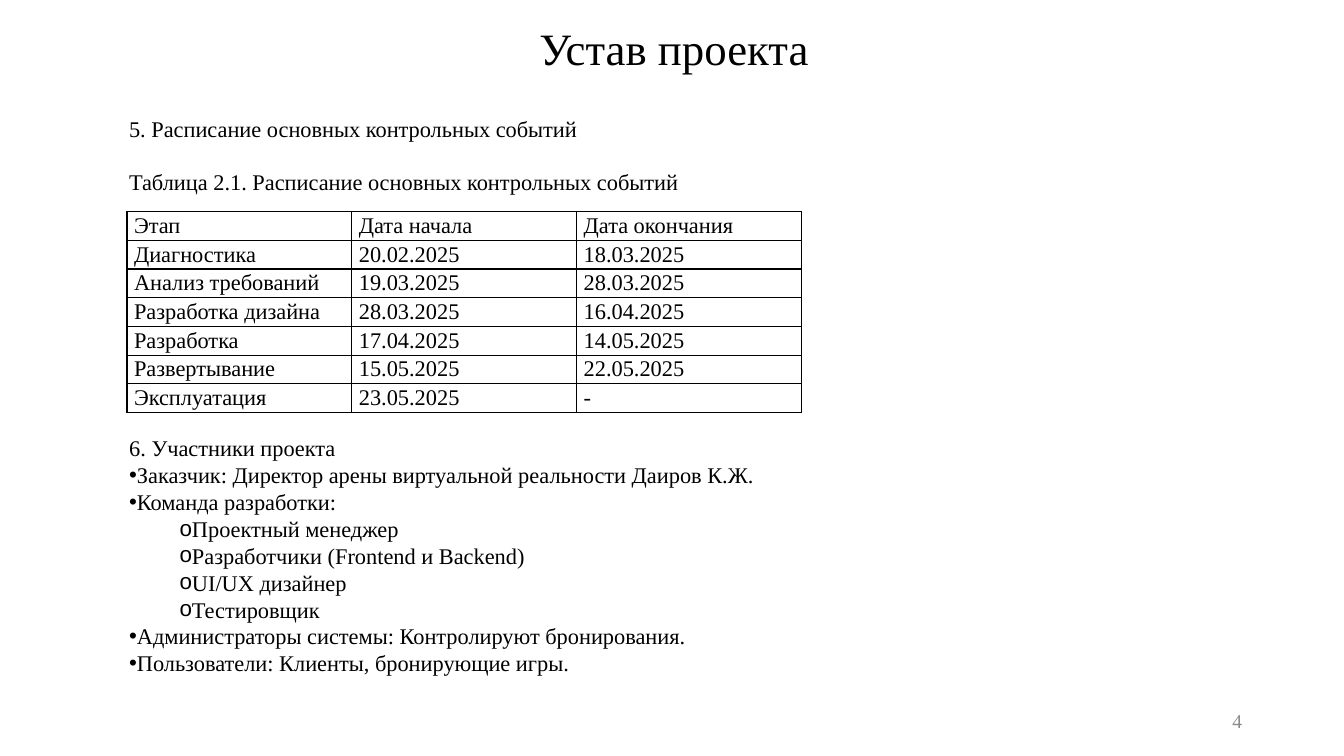
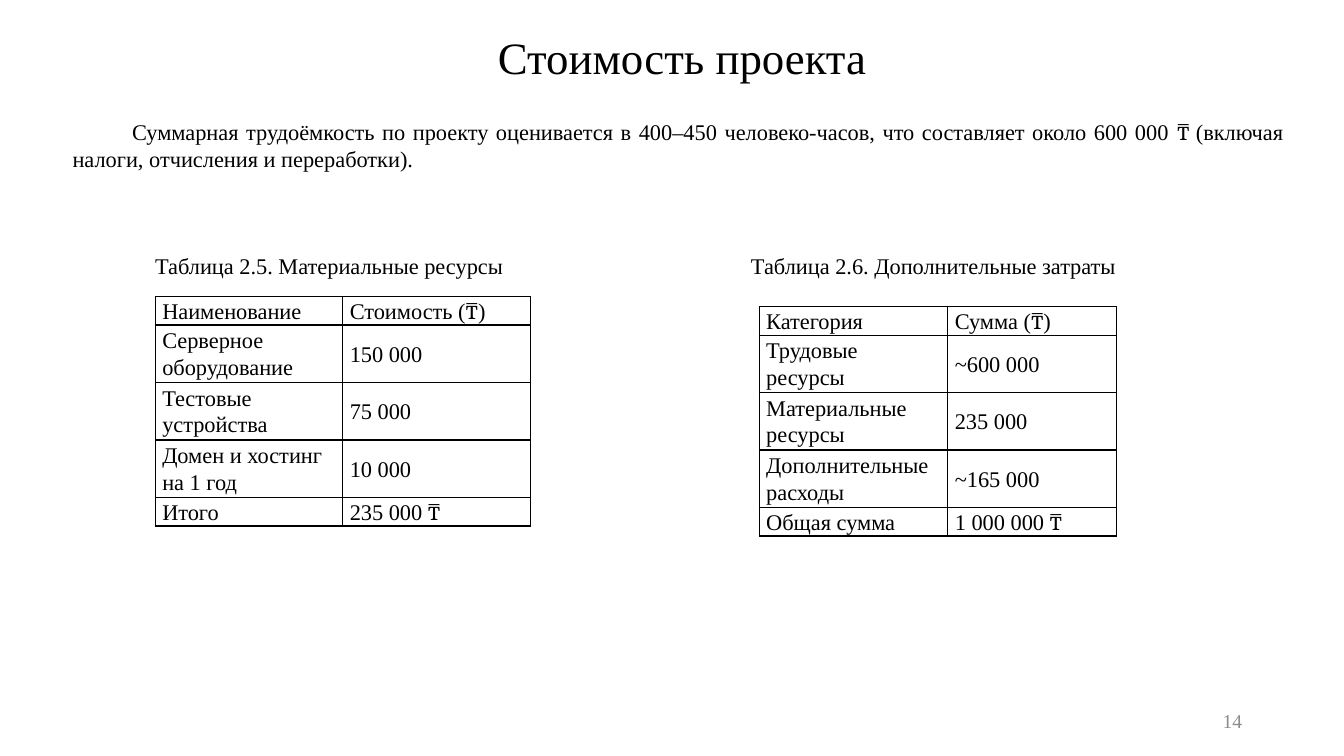
from lxml import etree
from pptx import Presentation
from pptx.dml.color import RGBColor
from pptx.enum.text import MSO_ANCHOR, MSO_AUTO_SIZE, PP_ALIGN
from pptx.oxml.ns import qn
from pptx.util import Inches, Pt

LEFT, CENTER, RIGHT, JUSTIFY = (
    PP_ALIGN.LEFT, PP_ALIGN.CENTER, PP_ALIGN.RIGHT, PP_ALIGN.JUSTIFY)
TOP, MIDDLE = MSO_ANCHOR.TOP, MSO_ANCHOR.MIDDLE
NO_AUTOFIT = MSO_AUTO_SIZE.NONE

FONT = "Times New Roman"
BLACK, GRAY = "000000", "8C8C8C"
GRID = 100  # columns across and rows down the slide
INDENT = 4.43
LINE_ROWS = 3.8  # height of one line of text in a table


def color(hex_text):
    return RGBColor.from_string(hex_text)


def write(p, text, size=16, fill=BLACK, align=JUSTIFY, margin=0, indent=0,
          level=0, bullet=None, before=0, spacing=1.0):
    """Fill a paragraph; margin and indent are lengths in EMU."""
    pPr = p._p.get_or_add_pPr()
    pPr.set("marL", str(int(margin)))
    pPr.set("indent", str(int(indent)))
    if bullet:
        etree.SubElement(pPr, qn("a:buFont"), typeface="Arial")
        etree.SubElement(pPr, qn("a:buChar"), char=bullet)
    else:
        etree.SubElement(pPr, qn("a:buNone"))
    p.level = level
    p.alignment = align
    p.line_spacing = spacing
    p.space_before = Pt(before)
    r = p.add_run()
    r.text = text
    r.font.name, r.font.size = FONT, Pt(size)
    r.font.color.rgb = color(fill)


def set_borders(cell, line_color=BLACK, width=1):
    tcPr = cell._tc.get_or_add_tcPr()
    for i, side in enumerate(("lnL", "lnR", "lnT", "lnB")):
        ln = etree.Element(qn(f"a:{side}"), w=str(Pt(width)))
        fill = etree.SubElement(ln, qn("a:solidFill"))
        etree.SubElement(fill, qn("a:srgbClr"), val=line_color)
        tcPr.insert(i, ln)


class Deck:
    def __init__(self):
        self.prs = Presentation()
        self.prs.slide_width = Inches(13.33)
        self.prs.slide_height = Inches(7.5)
        self.s = None

    def x(self, cols):
        return int(self.prs.slide_width * cols / GRID)

    def y(self, rows):
        return int(self.prs.slide_height * rows / GRID)

    def box(self, left, top, width, height):
        return self.x(left), self.y(top), self.x(width), self.y(height)

    def fill_text(self, sp, place, items, anchor=TOP):
        """Place a shape and write items: (text, format) pairs."""
        sp.left, sp.top, sp.width, sp.height = self.box(*place)
        tf = sp.text_frame
        tf.word_wrap = True
        tf.auto_size = NO_AUTOFIT
        tf.vertical_anchor = anchor
        for i, (text, style) in enumerate(items):
            p = tf.add_paragraph() if i else tf.paragraphs[0]
            write(p, text, **style)

    def slide(self, title, left, top, number):
        self.s = self.prs.slides.add_slide(self.prs.slide_layouts[1])
        self.fill_text(self.s.shapes.title, (left, top, 83.65, 8.53),
                       [(title, {"size": 32, "align": CENTER})])
        self.text((70.67, 92.67, 22.5, 5.33),
                  [(number, {"size": 14, "fill": GRAY, "align": RIGHT})], MIDDLE)

    def body(self, place, items):
        self.fill_text(self.s.placeholders[1], place, items)

    def text(self, place, items, anchor=TOP):
        sp = self.s.shapes.add_textbox(*self.box(*place))
        self.fill_text(sp, place, items, anchor)

    def table(self, left, top, widths, rows, lines, align=LEFT, anchor=MIDDLE):
        """Draw a table; lines holds the number of text lines in each row."""
        place = self.box(left, top, sum(widths), LINE_ROWS * sum(lines))
        table = self.s.shapes.add_table(len(rows), len(widths), *place).table
        table.first_row = table.horz_banding = False
        for column, width in zip(table.columns, widths):
            column.width = self.x(width)
        for row, count, values in zip(table.rows, lines, rows):
            row.height = self.y(LINE_ROWS * count)
            for cell, value in zip(row.cells, values):
                cell.margin_left = cell.margin_right = Inches(0.07)
                cell.margin_top = cell.margin_bottom = 0
                cell.vertical_anchor = anchor
                cell.fill.background()
                set_borders(cell)
                write(cell.text_frame.paragraphs[0], value,
                      align=align, spacing=1.07)


def charter_slide(deck):
    first_line = {"indent": deck.x(INDENT)}
    item = {**first_line, "bullet": "•"}
    subitem = {**first_line, "bullet": "o", "level": 1, "margin": deck.x(3.75)}

    deck.slide("Устав проекта", 8.33, 2.13, "4")
    deck.text((4.43, 14.53, 91.45, 12), [
        ("5. Расписание основных контрольных событий", first_line),
        ("Таблица 2.1. Расписание основных контрольных событий",
         {"margin": deck.x(INDENT), "before": 19}),
    ])
    stages = [
        ("Этап", "Дата начала", "Дата окончания"),
        ("Диагностика", "20.02.2025", "18.03.2025"),
        ("Анализ требований", "19.03.2025", "28.03.2025"),
        ("Разработка дизайна", "28.03.2025", "16.04.2025"),
        ("Разработка", "17.04.2025", "14.05.2025"),
        ("Развертывание", "15.05.2025", "22.05.2025"),
        ("Эксплуатация", "23.05.2025", "-"),
    ]
    deck.table(9.45, 28, [16.73] * 3, stages, [1] * len(stages), JUSTIFY, TOP)
    deck.body((4.43, 56.8, 91.45, 33.6), [
        ("6. Участники проекта", first_line),
        ("Заказчик: Директор арены виртуальной реальности Даиров К.Ж.", item),
        ("Команда разработки:", item),
        ("Проектный менеджер", subitem),
        ("Разработчики (Frontend и Backend)", subitem),
        ("UI/UX дизайнер", subitem),
        ("Тестировщик", subitem),
        ("Администраторы системы: Контролируют бронирования.", item),
        ("Пользователи: Клиенты, бронирующие игры.", item),
    ])


def cost_slide(deck):
    deck.slide("Стоимость проекта", 8.93, 3.2, "14")
    deck.body((4.65, 14.93, 91.67, 8.53), [
        ("Суммарная трудоёмкость по проекту оценивается в 400–450 "
         "человеко-часов, что составляет около 600 000 ₸ (включая налоги, "
         "отчисления и переработки).", {"indent": deck.x(INDENT)}),
    ])
    resources = [
        ("Наименование", "Стоимость (₸)"),
        ("Серверное оборудование", "150 000"),
        ("Тестовые устройства", "75 000"),
        ("Домен и хостинг на 1 год", "10 000"),
        ("Итого", "235 000 ₸"),
    ]
    expenses = [
        ("Категория", "Сумма (₸)"),
        ("Трудовые ресурсы", "~600 000"),
        ("Материальные ресурсы", "235 000"),
        ("Дополнительные расходы", "~165 000"),
        ("Общая сумма", "1 000 000 ₸"),
    ]
    for caption, caption_left, left, top, widths, rows in (
        ("Таблица 2.5. Материальные ресурсы", 10.8,
         11.55, 39.2, [13.95, 13.95], resources),
        ("Таблица 2.6. Дополнительные затраты", 55.14,
         56.49, 40.53, [14.03, 12.53], expenses),
    ):
        deck.text((caption_left, 32.67, 30.38, 4.93), [(caption, {})])
        deck.table(left, top, widths, rows, [1, 2, 2, 2, 1])


def main():
    deck = Deck()
    charter_slide(deck)
    cost_slide(deck)
    deck.prs.save("out.pptx")


if __name__ == "__main__":
    main()
